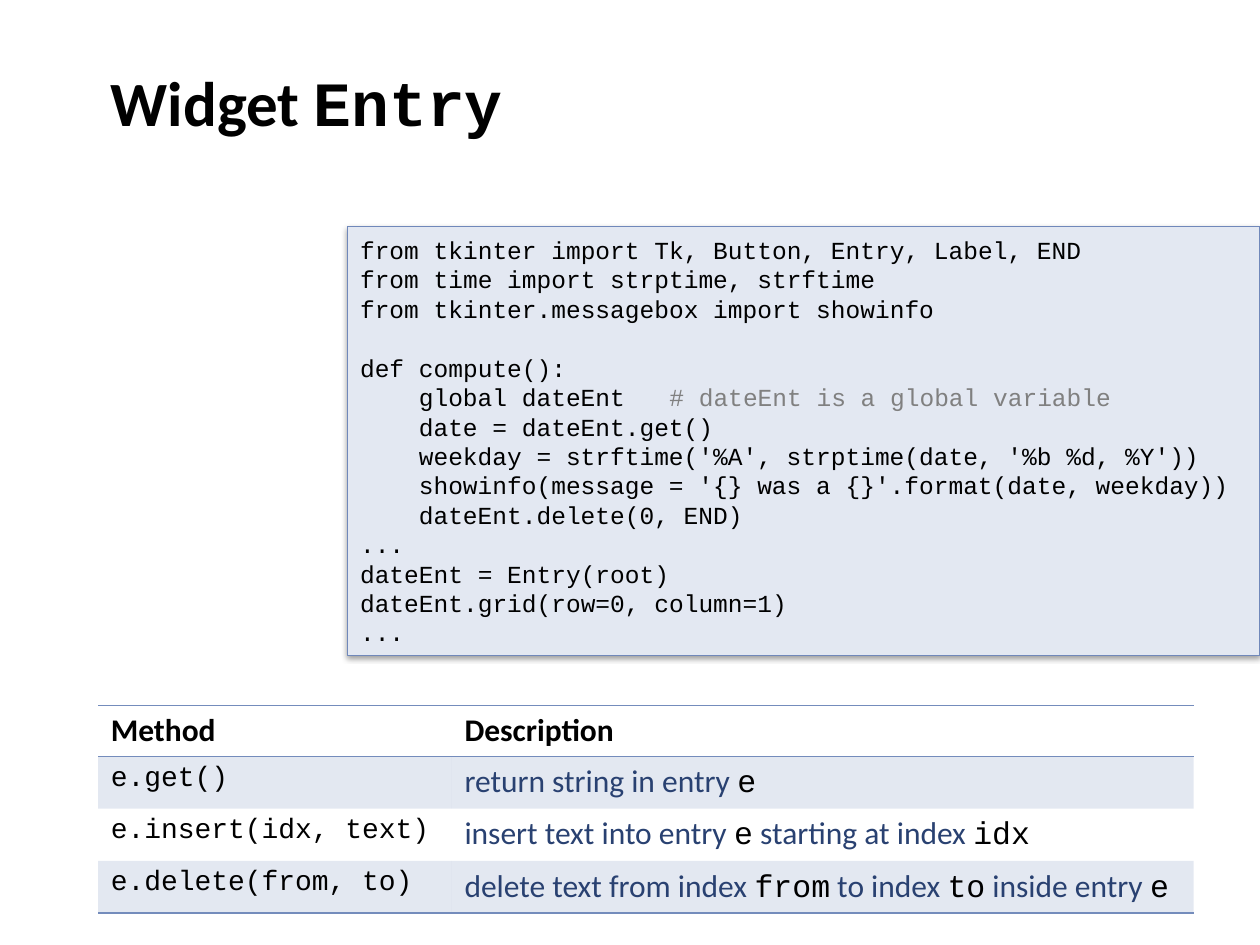
from pptx import Presentation, util as u
from pptx.dml.color import RGBColor
from pptx.enum import shapes, text
from pptx.oxml import parse_xml
from pptx.oxml.ns import nsdecls, qn

# Content: (text, style) spans; code lines as (indent level, blank lines before, spans)
TITLE = [("Widget ", "title"), ("Entry", "title_code")]
CODE = [
    (0, 0, [("from tkinter import Tk, Button, Entry, Label, END", "code")]),
    (0, 0, [("from time import strptime, strftime", "code")]),
    (0, 0, [("from tkinter.messagebox import showinfo", "code")]),
    (0, 1, [("def compute():", "code")]),
    (1, 0, [("global dateEnt", "code"), (" ", "gap"),
            ("# dateEnt is a global variable", "comment")]),
    (1, 0, [("date = dateEnt.get()", "code")]),
    (1, 0, [("weekday = strftime('%A', strptime(date, '%b %d, %Y'))", "code")]),
    (1, 0, [("showinfo(message = '{} was a {}'.format(date, weekday))", "code")]),
    (1, 0, [("dateEnt.delete(0, END)", "code")]),
    (0, 0, [("...", "code")]),
    (0, 0, [("dateEnt = Entry(root)", "code")]),
    (0, 0, [("dateEnt.grid(row=0, column=1)", "code")]),
    (0, 0, [("...", "code")]),
]
METHODS = [
    ([("Method", "head")], [("Description", "head")]),
    ([("e.get()", "method")],
     [("return string in entry ", "prose"), ("e", "name")]),
    ([("e.insert(idx, text)", "method")],
     [("insert text into entry ", "prose"), ("e", "name"),
      (" starting at index ", "prose"), ("idx", "name")]),
    ([("e.delete(from, to)", "method")],
     [("delete text from index ", "prose"), ("from", "name"),
      (" to index ", "prose"), ("to", "name"),
      (" inside entry ", "prose"), ("e", "name")]),
]

SANS, MONO = "Calibri", "Courier New"
THEME = {
    "styles": {  # font, size, colour, bold
        "title": (SANS, 36, "000000", True),
        "title_code": (MONO, 36, "000000", True),
        "code": (MONO, 14, "000000", False),
        "gap": (MONO, 14, "000000", False),
        "comment": (MONO, 14, "808080", False),
        "head": (SANS, 18, "000000", True),
        "method": (MONO, 16, "000000", False),
        "prose": (SANS, 18, "294171", False),
        "name": (MONO, 18, "000000", False),
    },
    "panel": "E3E8F2", "panel_line": "7088BA", "rule": "748CBC",
    "band_alpha": 20, "line_height": 16.8, "char_width": 8.4,
}
NO_GRID_STYLE = "{2D5ABB26-0587-4C30-8999-92F81FD0307C}"


def set_font(font, style):
    """Apply a named theme style to a font."""
    name, size, colour, bold = THEME["styles"][style]
    font.name, font.size, font.bold = name, u.Pt(size), bold
    font.color.rgb = RGBColor.from_string(colour)


def write(para, spans):
    """Fill a paragraph, styling it whole when all its spans agree."""
    single = len(spans) == 1
    if single:
        set_font(para.font, spans[0][1])
    for words, style in spans:
        span = para.add_run()
        span.text = words
        if not single:
            set_font(span.font, style)
        if style == "gap":  # one space widened to three characters
            span.font._element.set("spc", str(round(200 * THEME["char_width"])))


def add_title(page):
    """Move and fill the title placeholder."""
    box = page.shapes.title
    box.left, box.top, box.width, box.height = u.Cm(1.98), 0, u.Cm(21.6), u.Cm(4.09)
    box.text_frame.vertical_anchor = text.MSO_ANCHOR.MIDDLE
    para = box.text_frame.paragraphs[0]
    para.alignment = text.PP_ALIGN.LEFT
    write(para, TITLE)


def add_code(page):
    """Draw the shadowed panel with the code listing."""
    box = page.shapes.add_shape(shapes.MSO_SHAPE.RECTANGLE, u.Cm(7.01), u.Cm(4.57),
                                u.Cm(18.39), u.Cm(8.64))
    box.fill.solid()
    box.fill.fore_color.rgb = RGBColor.from_string(THEME["panel"])
    box.line.color.rgb = RGBColor.from_string(THEME["panel_line"])
    box.line.width = u.Pt(0.75)
    box.shadow.inherit = False
    box._element.spPr.find(qn("a:effectLst")).append(parse_xml(
        f'<a:outerShdw {nsdecls("a")} blurRad="{u.Pt(3.1)}" dist="{u.Pt(1.6)}" '
        'dir="5400000" rotWithShape="0"><a:srgbClr val="000000">'
        '<a:alpha val="38000"/></a:srgbClr></a:outerShdw>'))
    frame = box.text_frame
    frame.word_wrap = True
    frame.vertical_anchor = text.MSO_ANCHOR.MIDDLE
    for number, (level, blanks, spans) in enumerate(CODE):
        para = frame.add_paragraph() if number else frame.paragraphs[0]
        para.alignment = text.PP_ALIGN.LEFT
        if blanks:
            para.space_before = u.Pt(blanks * THEME["line_height"])
        if level:
            indent = u.Pt(4 * level * THEME["char_width"])
            para._p.get_or_add_pPr().set("marL", str(indent))
        write(para, spans)


def format_cell(cell, banded, edges):
    """Set a cell's band fill and its horizontal rules."""
    if banded:
        cell.fill.solid()
        cell.fill.fore_color.rgb = RGBColor.from_string(THEME["rule"])
        colour = cell._tc.tcPr.find(qn("a:solidFill"))[0]
        colour.append(parse_xml(
            f'<a:alpha {nsdecls("a")} val="{THEME["band_alpha"] * 1000}"/>'))
    else:
        cell.fill.background()
    for place, edge in enumerate(edges):
        cell._tc.tcPr.insert(place, parse_xml(
            f'<a:{edge} {nsdecls("a")} w="{u.Pt(1)}"><a:solidFill>'
            f'<a:srgbClr val="{THEME["rule"]}"/></a:solidFill></a:{edge}>'))


def add_methods(page):
    """Build the method table."""
    widths = [u.Cm(7.13), u.Cm(14.95)]
    row_height = u.Cm(1.03)
    table = page.shapes.add_table(len(METHODS), len(widths), u.Cm(1.98), u.Cm(14.22),
                                  sum(widths), row_height * len(METHODS)).table
    table._tbl.tblPr.find(qn("a:tableStyleId")).text = NO_GRID_STYLE
    table.horz_banding = False
    for column, width in zip(table.columns, widths):
        column.width = width
    rules = {0: ["lnT", "lnB"], len(METHODS) - 1: ["lnB"]}
    for row, cells in enumerate(METHODS):
        for col, spans in enumerate(cells):
            cell = table.cell(row, col)
            write(cell.text_frame.paragraphs[0], spans)
            format_cell(cell, row % 2 == 1, rules.get(row, []))


deck = Presentation()
deck.slide_width, deck.slide_height = u.Cm(25.4), u.Cm(19.05)
page = deck.slides.add_slide(deck.slide_layouts[5])
add_title(page)
add_methods(page)
add_code(page)
deck.save("out.pptx")
